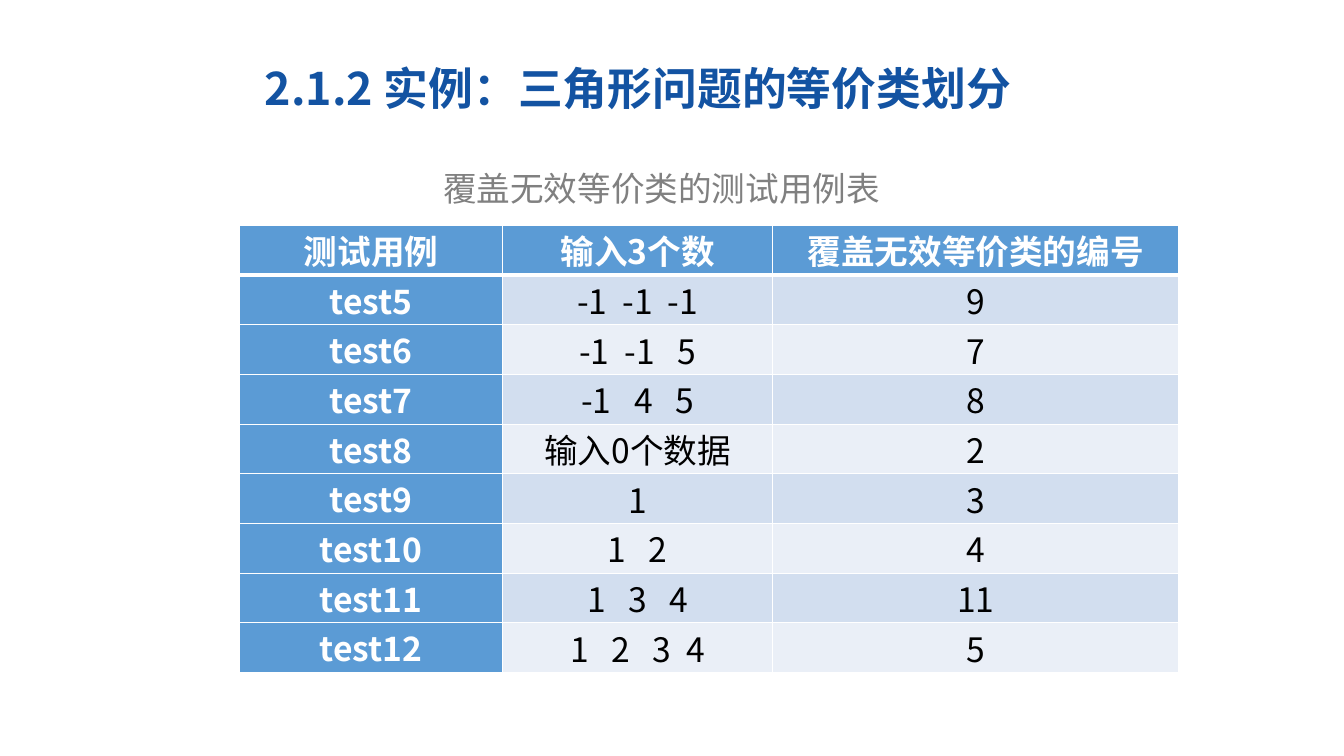
from typing import NamedTuple

from lxml.etree import SubElement
from pptx import Presentation
from pptx.dml.color import RGBColor
from pptx.enum.text import MSO_ANCHOR, MSO_AUTO_SIZE, PP_ALIGN
from pptx.oxml.ns import qn
from pptx.util import Pt

COLORS = {
    "title": "1353A2", "caption": "808080", "header": "5B9BD5",
    "odd": "D2DEEF", "even": "EAEFF7", "white": "FFFFFF", "black": "000000",
}
SANS = "Noto Sans CJK SC"


class TestCase(NamedTuple):
    name: str
    numbers: str
    class_number: str


HEADINGS = TestCase("测试用例", "输入3个数", "覆盖无效等价类的编号")
TEST_CASES = [
    TestCase("test5", "-1  -1  -1", "9"),
    TestCase("test6", "-1  -1   5", "7"),
    TestCase("test7", "-1   4   5", "8"),
    TestCase("test8", "输入0个数据", "2"),
    TestCase("test9", "1", "3"),
    TestCase("test10", "1   2", "4"),
    TestCase("test11", "1   3   4", "11"),
    TestCase("test12", "1   2   3  4", "5"),
]
COLUMN_WIDTHS = (188, 193, 290)
ROW_HEIGHT = 35.5


def write_text(frame, text: str, *, size: float, color: str, font: str = SANS,
               bold: bool = False, align=PP_ALIGN.LEFT, spacing: float = 1.0) -> None:
    """Fill a text frame with one formatted paragraph."""
    para = frame.paragraphs[0]
    para.alignment = align
    para.line_spacing = spacing
    span = para.add_run()
    span.text = text
    span.font.name = font
    span.font.size = Pt(size)
    span.font.bold = bold
    span.font.color.rgb = RGBColor.from_string(COLORS[color])
    SubElement(span.font._element, qn("a:ea"), typeface=SANS)


def add_borders(cell, *, top: float, bottom: float) -> None:
    """Draw white lines on all four sides of a cell."""
    properties = cell._tc.get_or_add_tcPr()
    for side, width in (("L", 1), ("R", 1), ("T", top), ("B", bottom)):
        line = SubElement(properties, qn(f"a:ln{side}"), w=str(Pt(width)))
        fill = SubElement(line, qn("a:solidFill"))
        SubElement(fill, qn("a:srgbClr"), val=COLORS["white"])


def format_cell(cell, text: str, row: int, column: int) -> None:
    """Format a table cell by its place in the grid."""
    is_heading = row == 0 or column == 0
    add_borders(cell, top=3 if row == 1 else 1, bottom=3 if row == 0 else 1)
    cell.fill.solid()
    fill = "header" if is_heading else "odd" if row % 2 else "even"
    cell.fill.fore_color.rgb = RGBColor.from_string(COLORS[fill])
    cell.margin_left = cell.margin_right = Pt(5)
    cell.margin_top = cell.margin_bottom = Pt(0)
    cell.vertical_anchor = MSO_ANCHOR.TOP if is_heading else MSO_ANCHOR.MIDDLE
    write_text(cell.text_frame, text, size=24, bold=is_heading,
               color="white" if is_heading else "black", align=PP_ALIGN.CENTER)


def add_test_table(page) -> None:
    rows = [HEADINGS, *TEST_CASES]
    table = page.shapes.add_table(
        len(rows), len(COLUMN_WIDTHS), Pt(171), Pt(161),
        Pt(sum(COLUMN_WIDTHS)), Pt(ROW_HEIGHT * len(rows))).table
    for column, width in zip(table.columns, COLUMN_WIDTHS):
        column.width = Pt(width)
    for row_index, case in enumerate(rows):
        table.rows[row_index].height = Pt(ROW_HEIGHT)
        for column_index, text in enumerate(case):
            format_cell(table.cell(row_index, column_index), text, row_index, column_index)


def main() -> None:
    deck = Presentation()
    deck.slide_width, deck.slide_height = Pt(960), Pt(540)
    page = deck.slides.add_slide(deck.slide_layouts[5])

    # Title
    title = page.shapes.title
    title.left, title.top, title.width, title.height = Pt(182), Pt(39.5), Pt(599), Pt(46)
    frame = title.text_frame
    frame.auto_size = MSO_AUTO_SIZE.NONE
    frame.vertical_anchor = MSO_ANCHOR.MIDDLE
    frame.margin_top = frame.margin_bottom = Pt(0)
    write_text(frame, "2.1.2 实例：三角形问题的等价类划分", size=32, color="title", bold=True)

    # Table caption
    caption = page.shapes.add_textbox(Pt(309.5), Pt(102), Pt(343.5), Pt(59))
    caption.text_frame.word_wrap = True
    write_text(caption.text_frame, "覆盖无效等价类的测试用例表", size=24,
               color="caption", font="Courier New", spacing=1.5)

    # Test case table
    add_test_table(page)
    deck.save("out.pptx")


if __name__ == "__main__":
    main()
